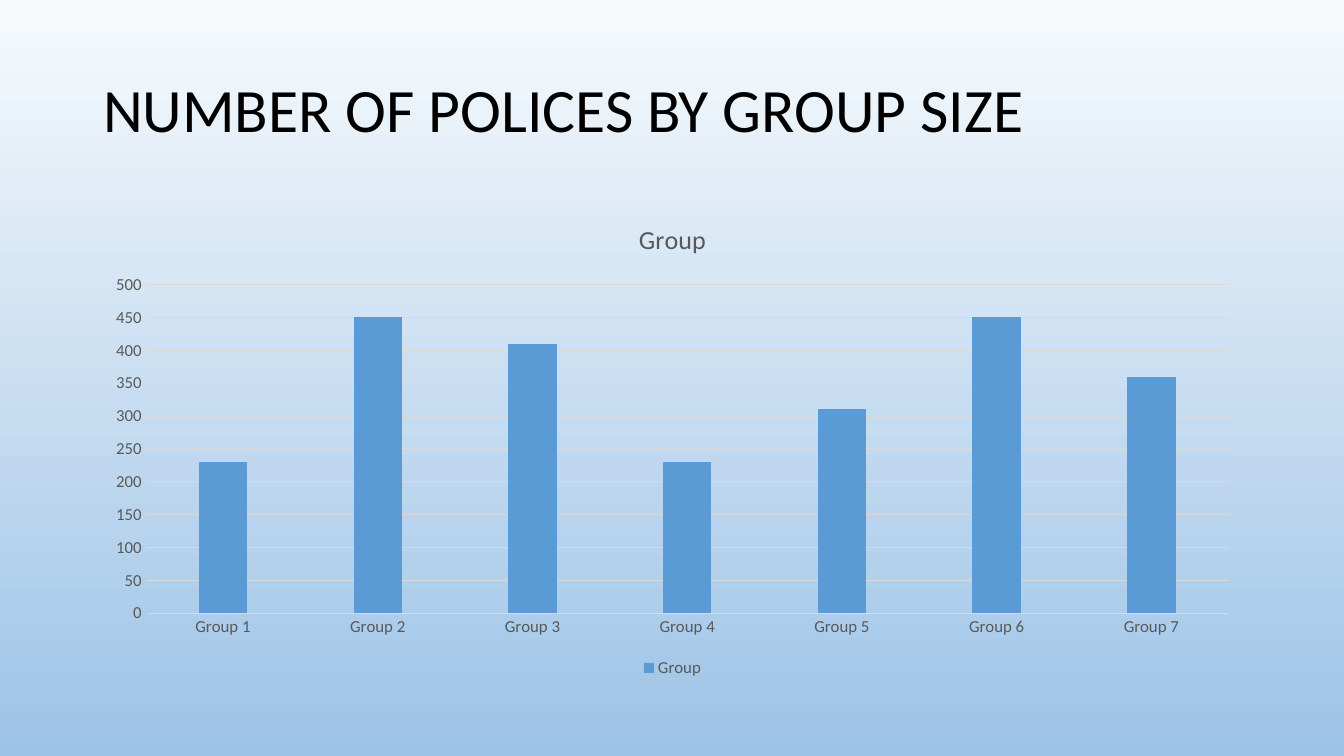
from pptx import Presentation
from pptx.chart.data import CategoryChartData
from pptx.dml.color import RGBColor
from pptx.enum.chart import XL_CHART_TYPE as ChartType
from pptx.enum.chart import XL_LEGEND_POSITION as LegendPosition
from pptx.enum.chart import XL_TICK_MARK as TickMark
from pptx.enum.text import MSO_ANCHOR as Anchor
from pptx.enum.text import MSO_AUTO_SIZE as AutoSize
from pptx.enum.text import PP_ALIGN as Align
from pptx.util import Pt

PX = 12192000 / 1344
FONT = "Calibri"
COLORS = {
    "sky_top": "F7FAFD",
    "sky_bottom": "9DC3E6",
    "title": "000000",
    "label": "595959",
    "grid": "D9D9D9",
    "bar": "5B9BD5",
}
GROUP_COUNTS = [230, 450, 410, 230, 310, 450, 360]


def px(length):
    return round(length * PX)


def color(name):
    return RGBColor.from_string(COLORS[name])


def style_font(font, size, color_name):
    font.name = FONT
    font.size = Pt(size)
    font.bold = False
    font.color.rgb = color(color_name)


def style_line(line):
    line.color.rgb = color("grid")
    line.width = Pt(0.75)


def paint_background(page):
    fill = page.background.fill
    fill.gradient()
    fill.gradient_angle = 270
    for stop, name in zip(fill.gradient_stops, ("sky_top", "sky_bottom")):
        stop.color.rgb = color(name)


def add_title(page, box, text):
    title = page.shapes.title
    title.left, title.top, title.width, title.height = map(px, box)
    frame = title.text_frame
    frame.word_wrap = True
    frame.auto_size = AutoSize.NONE
    frame.vertical_anchor = Anchor.MIDDLE
    para = frame.paragraphs[0]
    para.alignment = Align.LEFT
    para.line_spacing = 0.9
    span = para.add_run()
    span.text = text
    style_font(span.font, 44, "title")


def add_group_chart(page, box, name, counts):
    data = CategoryChartData()
    data.categories = [f"Group {number}" for number in range(1, len(counts) + 1)]
    data.add_series(name, counts)
    chart = page.shapes.add_chart(
        ChartType.COLUMN_CLUSTERED, *map(px, box), data
    ).chart
    style_font(chart.font, 10, "title")

    # Chart title
    chart.has_title = True
    span = chart.chart_title.text_frame.paragraphs[0].add_run()
    span.text = name
    style_font(span.font, 18.6, "label")
    chart.chart_title.include_in_layout = False

    # Legend
    chart.has_legend = True
    chart.legend.position = LegendPosition.BOTTOM
    chart.legend.include_in_layout = False
    style_font(chart.legend.font, 12, "label")

    # Axes and gridlines
    for axis in (chart.category_axis, chart.value_axis):
        axis.major_tick_mark = TickMark.NONE
        axis.minor_tick_mark = TickMark.NONE
        style_font(axis.tick_labels.font, 12, "label")
    style_line(chart.category_axis.format.line)
    values = chart.value_axis
    values.minimum_scale, values.maximum_scale, values.major_unit = 0, 500, 50
    values.format.line.fill.background()
    values.has_major_gridlines = True
    style_line(values.major_gridlines.format.line)

    # Columns
    plot = chart.plots[0]
    plot.vary_by_categories = False
    plot.gap_width = 219
    plot.overlap = -27
    fill = plot.series[0].format.fill
    fill.solid()
    fill.fore_color.rgb = color("bar")


def main():
    deck = Presentation()
    deck.slide_width, deck.slide_height = px(1344), px(756)
    page = deck.slides.add_slide(deck.slide_layouts.get_by_name("Title Only"))
    paint_background(page)
    add_title(page, (93, 40, 1159, 146), "NUMBER OF POLICES BY GROUP SIZE")
    add_group_chart(page, (93, 202, 1159, 480), "Group", GROUP_COUNTS)
    deck.save("out.pptx")


if __name__ == "__main__":
    main()
